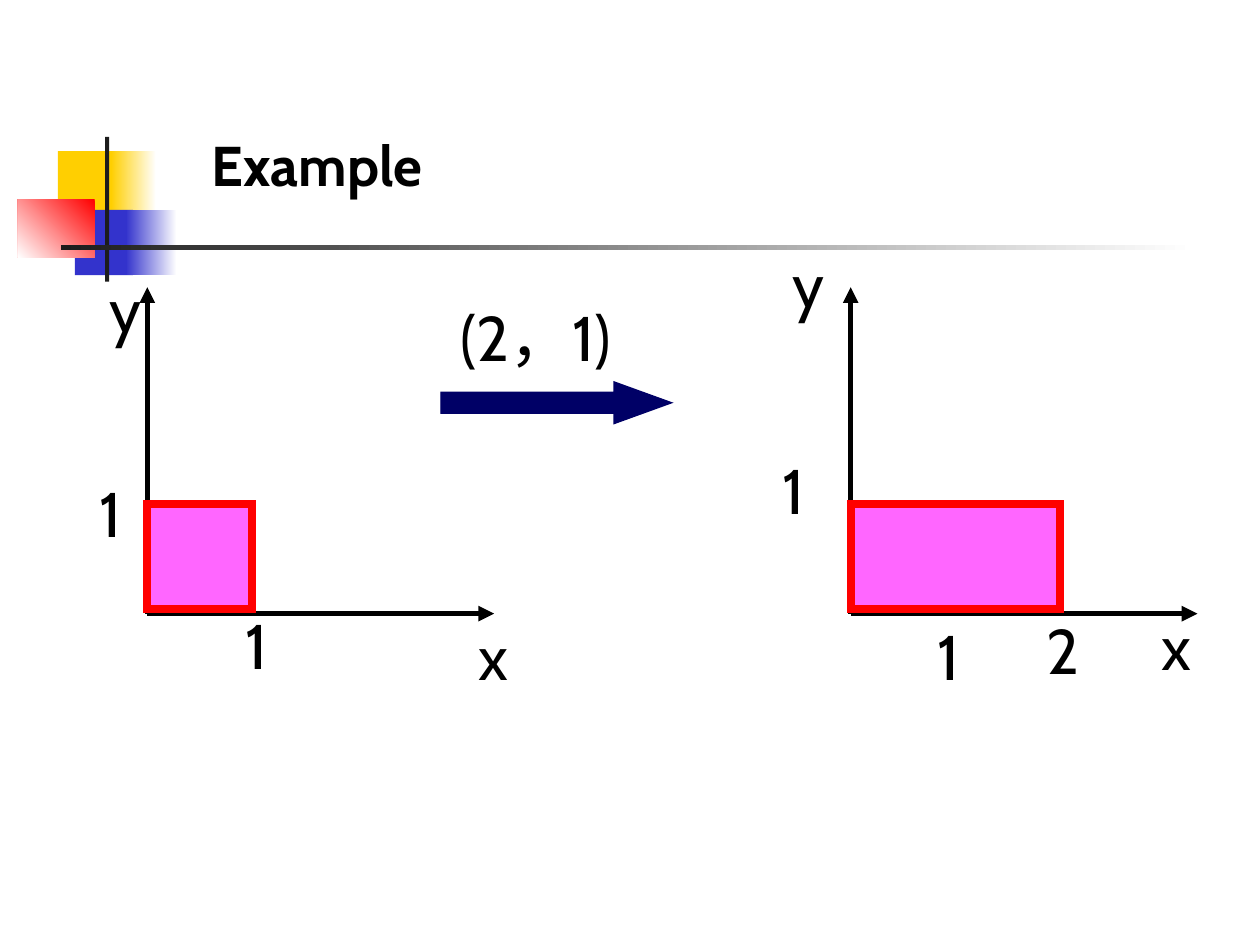
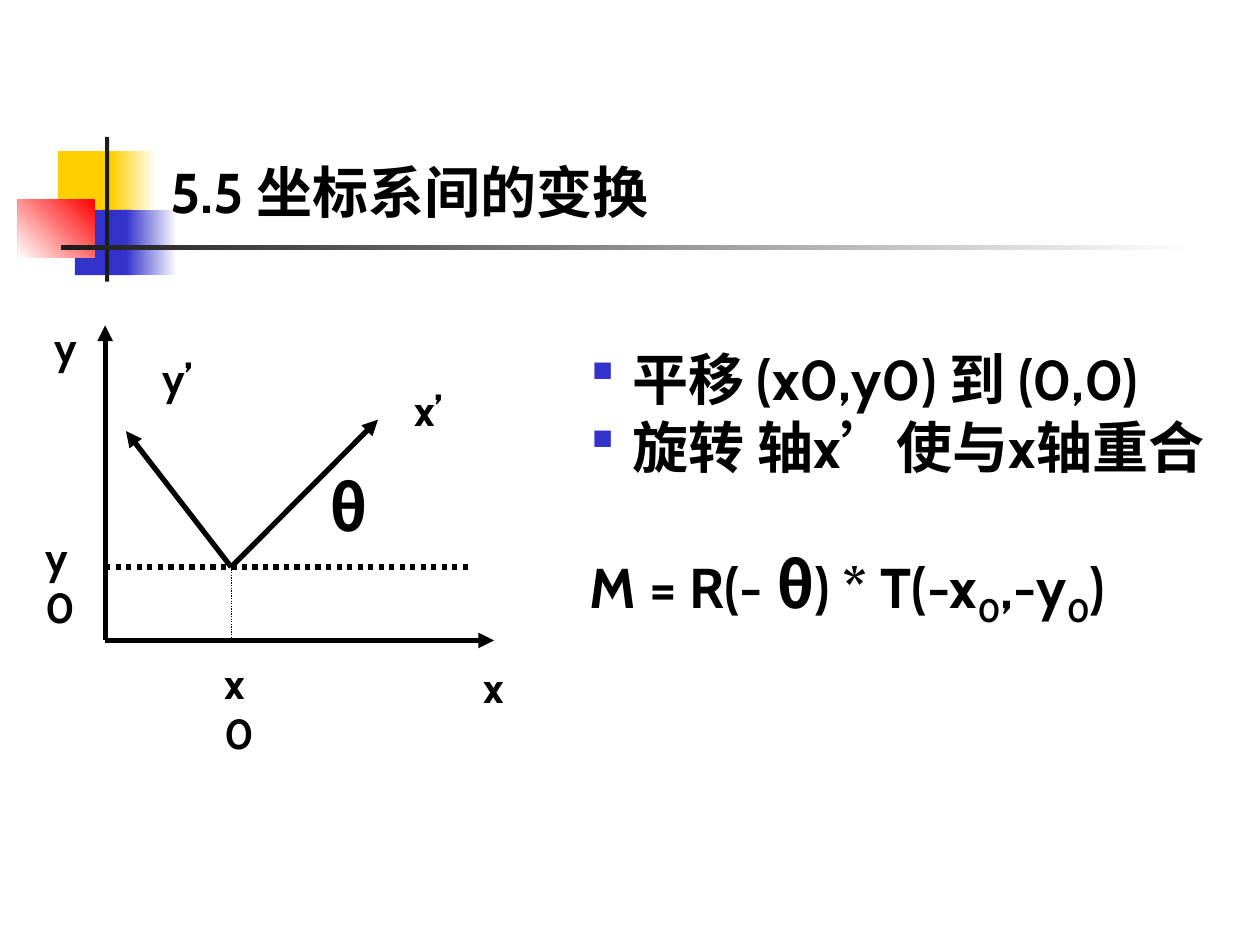
from pptx import Presentation
from pptx.dml.color import RGBColor
from pptx.enum.dml import MSO_LINE as Dash
from pptx.enum.shapes import MSO_CONNECTOR as Link, MSO_SHAPE as Form
from pptx.enum.text import MSO_ANCHOR as Anchor, MSO_AUTO_SIZE as Fit, PP_ALIGN as Align
from pptx.oxml.ns import qn
from pptx.util import Cm, Pt
from lxml import etree

FACE, GREEK = "Cabin", "Noto Sans CJK SC"
BLACK, WHITE, INK = "000000", "FFFFFF", "1C1C1C"
GOLD, BLUE, RED = "FFCF01", "3333CC", "FF0000"
NAVY, PINK = "000066", "FF66FF"
UNIT = 2.11  # side of the unit square on the Example axes

# left, top, width, height, first colour, second colour, angle
DECOR = [
    (1.17, 3.05, 1.22, 1.32, GOLD, None, 0),
    (2.24, 3.05, 0.91, 1.32, WHITE, GOLD, 180),
    (1.51, 4.23, 1.17, 1.32, BLUE, None, 0),
    (2.54, 4.23, 1.02, 1.32, WHITE, BLUE, 180),
    (0.36, 4.02, 1.55, 1.17, RED, WHITE, 225),
    (2.12, 2.76, 0.08, 2.92, INK, None, 0),
    (1.23, 4.94, 22.86, 0.1, WHITE, INK, 180),
]


def rgb(code):
    return RGBColor.from_string(code)


def sub(parent, tag, **attrs):
    return etree.SubElement(parent, qn(tag), **attrs)


def style(run, size, bold=False, face=FACE, asian=None):
    """Set the face for Latin text, and for East Asian text unless it differs."""
    font = run.font
    font.size, font.bold, font.name = Pt(size), bold, face
    font.color.rgb = rgb(BLACK)
    sub(run._r.get_or_add_rPr(), "a:ea", typeface=asian or face)


def shape(slide, kind, box, fill, edge=None, width=0):
    item = slide.shapes.add_shape(kind, *map(Cm, box))
    item.shadow.inherit = False
    item.fill.solid()
    item.fill.fore_color.rgb = rgb(fill)
    if edge:
        item.line.color.rgb = rgb(edge)
        item.line.width = Pt(width)
        sub(item.line._get_or_add_ln(), "a:miter", lim="800000")
    else:
        item.line.fill.background()
    return item


def line(slide, start, end, width=3, arrow=False, dash=None):
    item = slide.shapes.add_connector(Link.STRAIGHT, *map(Cm, start + end))
    item.line.color.rgb = rgb(BLACK)
    item.line.width = Pt(width)
    if dash:
        item.line.dash_style = dash
    if arrow:
        sub(item.line._get_or_add_ln(), "a:tailEnd", type="triangle")
    sub(item.element.spPr, "a:effectLst")


def axes(slide, left, base, width, height):
    line(slide, (left, base), (left, base - height), arrow=True)
    line(slide, (left, base), (left + width, base), arrow=True)


def label(slide, text, left, top, width, height):
    box = slide.shapes.add_textbox(*map(Cm, (left, top, width, height)))
    frame = box.text_frame
    frame.text = text
    frame.word_wrap = False
    return frame


def mark(slide, text, left, top, width=0.7):
    """Large centred label without margins."""
    frame = label(slide, text, left, top, width, 1.52)
    frame.margin_left = frame.margin_right = 0
    frame.margin_top = frame.margin_bottom = 0
    frame.vertical_anchor = Anchor.MIDDLE
    para = frame.paragraphs[0]
    para.alignment = Align.CENTER
    style(para.runs[0], 36)


def tag(slide, text, left, top, width=1, size=24, face=FACE, wrap=False):
    """Bold label with normal margins."""
    frame = label(slide, text, left, top, width, 1.27)
    frame.word_wrap = wrap
    style(frame.paragraphs[0].runs[0], size, True, face)


def title(slide, text, *box):
    head = slide.shapes.title
    head.left, head.top, head.width, head.height = map(Cm, box)
    frame = head.text_frame
    frame.text = text
    frame.auto_size = Fit.NONE
    frame.vertical_anchor = Anchor.BOTTOM
    frame.paragraphs[0].alignment = Align.LEFT
    style(frame.paragraphs[0].runs[0], 32, True)


def decor(slide):
    """Put the corner blocks and rules on the layout, for every slide."""
    tree = slide.slide_layout.shapes.element
    for num, (*box, first, second, angle) in enumerate(DECOR, 20):
        item = shape(slide, Form.RECTANGLE, box, first)
        if second:
            item.fill.gradient()
            item.fill.gradient_angle = angle
            for stop, code in zip(item.fill.gradient_stops, (first, second)):
                stop.color.rgb = rgb(code)
        item.element.nvSpPr.cNvPr.id = num
        tree.append(item.element)


def bullet(para):
    props = para._p.get_or_add_pPr()
    props.set("marL", str(Cm(0.6)))
    props.set("indent", str(-Cm(0.6)))
    sub(sub(props, "a:buClr"), "a:srgbClr", val=BLUE)
    sub(props, "a:buFont", typeface="Wingdings", charset="2")
    sub(props, "a:buChar", char="§")


def steps(slide):
    frame = label(slide, " 平移 (x0,y0) 到 (0,0)", 11.64, 6.83, 13.76, 9.47)
    frame.word_wrap = True
    frame.add_paragraph().text = " 旋转 轴x’使与x轴重合"
    for para, asian in zip(frame.paragraphs, (FACE, GREEK)):
        bullet(para)
        style(para.runs[0], 32, True, asian=asian)

    rule = frame.add_paragraph()
    rule.space_before = Pt(38)
    for text in ("M = R(- ", "θ", ") * T(-x", "0", ",-y", "0", ")"):
        run = rule.add_run()
        run.text = text
        if text == "θ":
            style(run, 36, True, GREEK)
        else:
            style(run, 32, True)
        if text == "0":
            run._r.get_or_add_rPr().set("baseline", "-25000")


def scaling(slide):
    title(slide, "Example", 4.01, 0.84, 11.61, 3.28)
    for left, count in ((2.97, 1), (17.15, 2)):
        axes(slide, left, 12.37, 6.99, 6.58)
        box = (left, 10.16, count * UNIT, UNIT)
        shape(slide, Form.RECTANGLE, box, PINK, RED, 4.5)
    arrow = shape(slide, Form.RIGHT_ARROW, (8.89, 7.7, 4.65, 0.84), NAVY, NAVY, 0.75)
    arrow.adjustments[0], arrow.adjustments[1] = 0.5, 1.38
    mark(slide, "(2，1)", 8.73, 6.02, 4.14)
    for text, left, top in (
        ("y", 2.17, 5.46), ("1", 1.88, 9.57), ("1", 4.83, 12.23), ("x", 9.6, 12.45),
        ("y", 15.94, 4.96), ("1", 15.65, 9.1), ("1", 18.77, 12.45),
        ("2", 21.08, 12.32), ("x", 23.36, 12.24),
    ):
        mark(slide, text, left, top)


def frames(slide):
    title(slide, "5.5 坐标系间的变换", 3.19, 0.6, 21.64, 4.06)
    left, base = 2.12, 12.91
    point = (4.66, 11.43)
    axes(slide, left, base, 7.84, 6.35)
    for tip in ((7.62, 8.46), (2.54, 8.69)):
        line(slide, point, tip, arrow=True)
    line(slide, (left, point[1]), (9.5, point[1]), dash=Dash.ROUND_DOT)
    line(slide, point, (point[0], base), 0.75, dash=Dash.ROUND_DOT)
    for text, x, y in (("x", 9.5, 13.22), ("y", 0.85, 6.35)):
        tag(slide, text, x, y)
    for text, x, y in (("x’", 8.1, 7.62), ("y’", 3.02, 6.99)):
        tag(slide, text, x, y, 1.3)
    for text, x, y in (("x0", 4.27, 13.13), ("y0", 0.66, 10.59)):
        tag(slide, text, x, y, 1.47, wrap=True)
    tag(slide, "θ", 6.39, 9.32, 1.3, 36, GREEK)
    steps(slide)


def main():
    deck = Presentation()
    deck.slide_width, deck.slide_height = Cm(25.4), Cm(19.05)
    layout = deck.slide_layouts[5]
    first, second = (deck.slides.add_slide(layout) for _ in range(2))
    decor(first)
    scaling(first)
    frames(second)
    deck.save("out.pptx")


if __name__ == "__main__":
    main()
